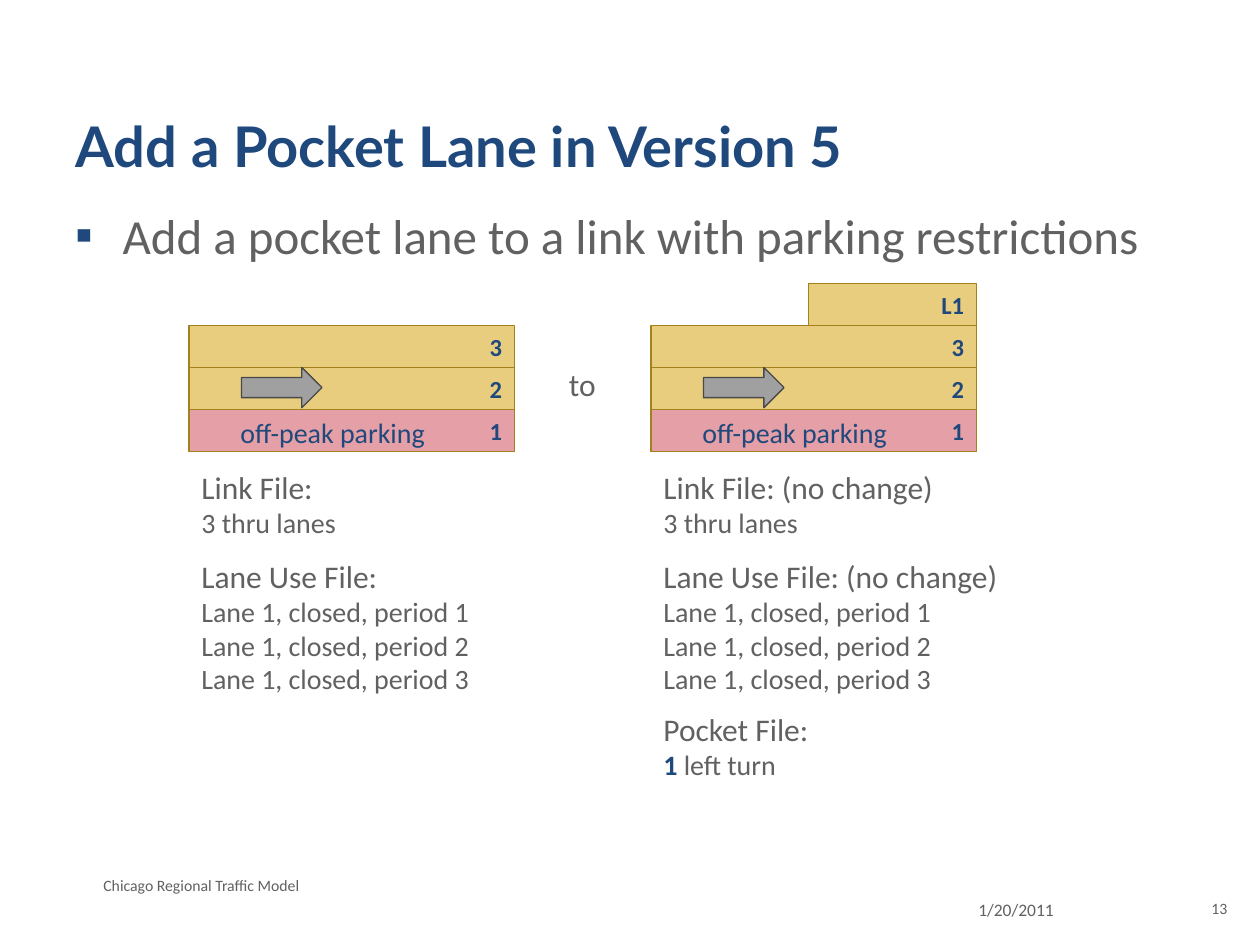
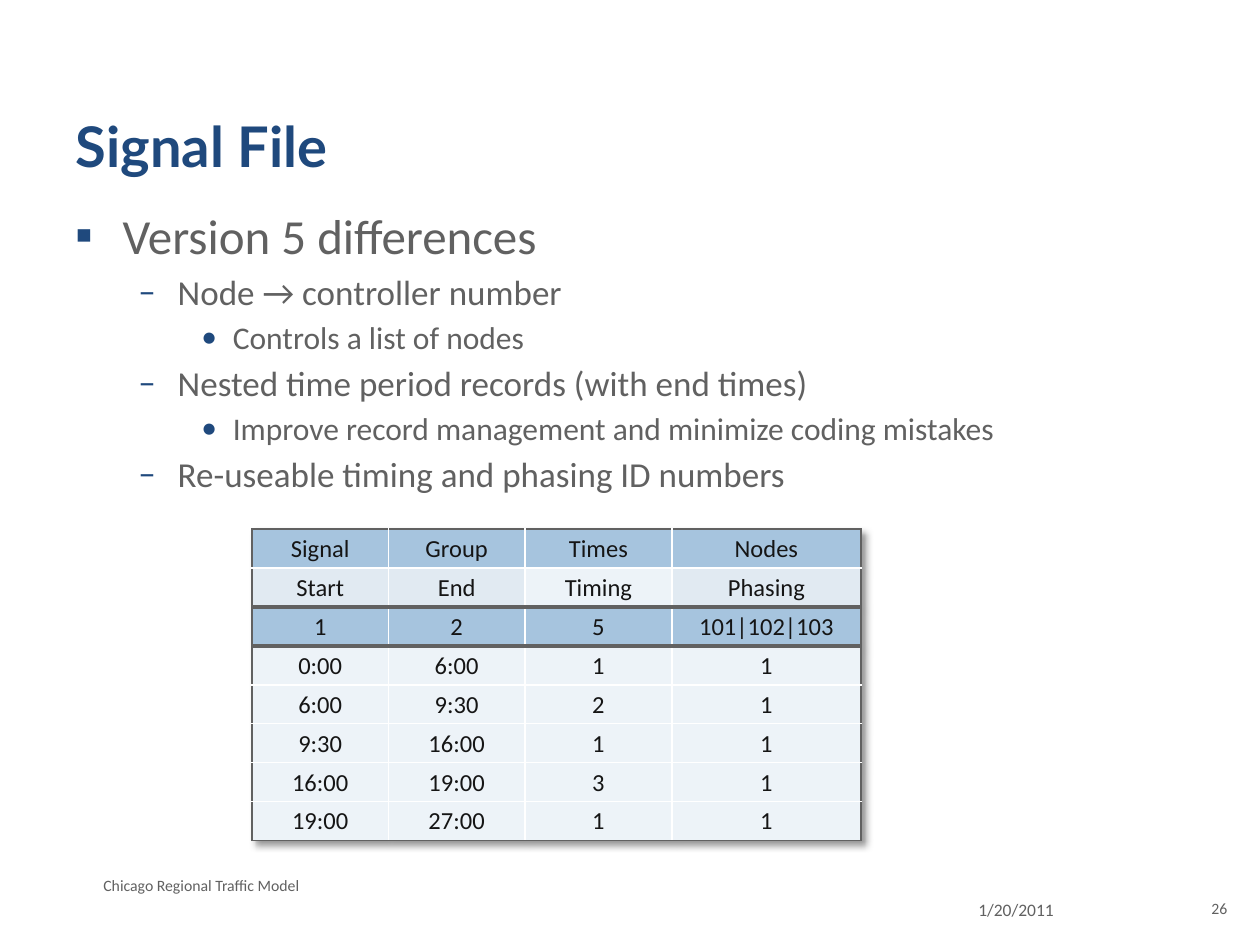
from lxml import etree
from pptx import Presentation
from pptx.dml.color import RGBColor
from pptx.enum.shapes import MSO_SHAPE
from pptx.enum.text import MSO_ANCHOR, MSO_AUTO_SIZE, PP_ALIGN
from pptx.oxml.ns import qn
from pptx.util import Pt

RECT, ARROW = MSO_SHAPE.RECTANGLE, MSO_SHAPE.RIGHT_ARROW
LEFT, MID, RIGHT = PP_ALIGN.LEFT, PP_ALIGN.CENTER, PP_ALIGN.RIGHT
TOP, CENTER, BOTTOM = MSO_ANCHOR.TOP, MSO_ANCHOR.MIDDLE, MSO_ANCHOR.BOTTOM
FIT, FIXED = MSO_AUTO_SIZE.SHAPE_TO_FIT_TEXT, MSO_AUTO_SIZE.NONE

NAVY = RGBColor(0x1F, 0x49, 0x7D)
GREY = RGBColor(0x61, 0x61, 0x61)
INK = RGBColor(0x15, 0x15, 0x15)
WHITE = RGBColor(0xFF, 0xFF, 0xFF)
GOLD = RGBColor(0xE8, 0xCD, 0x7E)
PINK = RGBColor(0xE5, 0x9F, 0xA6)
OCHRE = RGBColor(0xA3, 0x81, 0x1D)
SILVER = RGBColor(0xA0, 0xA0, 0xA0)
SLATE = RGBColor(0x49, 0x49, 0x49)
BLUE = RGBColor(0xA6, 0xC4, 0xDE)
PALE = RGBColor(0xE1, 0xEA, 0xF2)
ICE = RGBColor(0xED, 0xF3, 0xF8)
FONT, HEAD = "Calibri", "Lato"

FOOTER, DATE = "Chicago Regional Traffic Model", "1/20/2011"

# Bullet, text size, left margin and hanging indent for each level
LEVELS = [("▪", 28, 27, 27), ("–", 20, 58.5, 22.5), ("•", 18, 90, 18)]

POCKET = [(0, "Add a pocket lane to a link with parking restrictions")]
SIGNAL = [
    (0, "Version 5 differences"),
    (1, "Node → controller number"),
    (2, "Controls a list of nodes"),
    (1, "Nested time period records (with end times)"),
    (2, "Improve record management and minimize coding mistakes"),
    (1, "Re-useable timing and phasing ID numbers"),
]

# Lanes from the top down
LANES = [("3", GOLD), ("2", GOLD), ("1", PINK)]
LANE_TOP, LANE_W, LANE_H = 186, 186, 24
TURN_W = 96
PERIODS = [f"Lane 1, closed, period {n}" for n in (1, 2, 3)]

# Left edge, turn lane, and notes as (top, width, heading, lines)
ROADS = [
    (108, None, [
        (264, 92, "Link File:", ["3 thru lanes"]),
        (314.6, 169, "Lane Use File:", PERIODS),
    ]),
    (372, "L1", [
        (264, 171, "Link File: (no change)", ["3 thru lanes"]),
        (314.6, 208, "Lane Use File: (no change)", PERIODS),
        (402, 99, "Pocket File:", [("1", " left turn")]),
    ]),
]

COLS = [78, 78, 84, 108]
ROW_H = 22.25
ROWS = [
    ("Signal", "Group", "Times", "Nodes"),
    ("Start", "End", "Timing", "Phasing"),
    ("1", "2", "5", "101|102|103"),
    ("0:00", "6:00", "1", "1"),
    ("6:00", "9:30", "2", "1"),
    ("9:30", "16:00", "1", "1"),
    ("16:00", "19:00", "3", "1"),
    ("19:00", "27:00", "1", "1"),
]
FILLS = [[BLUE] * 4, [PALE, PALE, ICE, PALE], [BLUE] * 4] + [[ICE] * 4] * 5
EDGE, THIN, THICK = (GREY, 1), (WHITE, 1), (GREY, 2.25)
ACROSS = [EDGE, THIN, THICK, THICK] + [THIN] * 4 + [EDGE]
DOWN = [EDGE] + [THIN] * 3 + [EDGE]


def style(para, size, color=GREY, bold=False, align=LEFT, name=FONT):
    font = para.font
    font.name, font.size, font.bold = name, Pt(size), bold
    font.color.rgb = color
    para.alignment = align


def add_text(shapes, box, lines, wrap=True):
    """Add a text box and return its paragraphs, one for each line."""
    frame = shapes.add_textbox(*map(Pt, box)).text_frame
    frame.word_wrap = wrap
    frame.auto_size = FIXED if wrap else FIT
    frame.text = "\n".join(lines)
    return frame.paragraphs


def add_label(shapes, box, text, size, color=GREY, align=LEFT, wrap=True):
    style(add_text(shapes, box, [text], wrap)[0], size, color, align=align)


def add_block(shapes, kind, box, fill, line):
    shape = shapes.add_shape(kind, *map(Pt, box))
    shape.shadow.inherit = False
    shape.fill.solid()
    shape.fill.fore_color.rgb = fill
    shape.line.color.rgb = line
    shape.line.width = Pt(0.75)
    return shape


def add_lane(shapes, box, text, fill):
    frame = add_block(shapes, RECT, box, fill, OCHRE).text_frame
    frame.vertical_anchor = CENTER
    frame.text = text
    style(frame.paragraphs[0], 14, NAVY, True, RIGHT)


def add_note(shapes, box, head, lines):
    """Add a heading with lines; a pair is a marked number and its words."""
    texts = [line if isinstance(line, str) else "" for line in lines]
    first, *rest = add_text(shapes, box, [head] + texts, wrap=False)
    style(first, 18)
    for para, line in zip(rest, lines):
        style(para, 16)
        if not isinstance(line, str):
            for text in line:
                para.add_run().text = text
            mark = para.runs[0].font
            mark.bold = True
            mark.color.rgb = NAVY


def add_road(slide, left, turn, notes):
    shapes = slide.shapes.add_group_shape().shapes
    for i, (text, fill) in enumerate(LANES):
        add_lane(shapes, (left, LANE_TOP + i * LANE_H, LANE_W, LANE_H), text, fill)
    if turn:
        box = (left + LANE_W - TURN_W, LANE_TOP - LANE_H, TURN_W, LANE_H)
        add_lane(shapes, box, turn, GOLD)
    add_block(shapes, ARROW, (left + 30, LANE_TOP + LANE_H, 46, 23), SILVER, SLATE)
    add_label(shapes, (left + 22.3, LANE_TOP + 2 * LANE_H, 122, 26.7),
              "off-peak parking", 16, NAVY, wrap=False)
    for top, width, head, lines in notes:
        height = 29.2 + 19.5 * len(lines)
        add_note(shapes, (left, top, width, height), head, lines)


def add_bullets(slide, items):
    paras = add_text(slide.shapes, (36, 113.8, 648, 368.6), [t for _, t in items])
    for i, (para, (level, _)) in enumerate(zip(paras, items)):
        mark, size, margin, hang = LEVELS[level]
        style(para, size)
        para.level = level
        para.space_before = Pt(0.17 * size if i else 0)
        props = para._p.get_or_add_pPr()
        props.set("marL", str(Pt(margin)))
        props.set("indent", str(-Pt(hang)))
        color = etree.Element(qn("a:buClr"))
        etree.SubElement(color, qn("a:srgbClr"), val=str(NAVY))
        face = etree.Element(qn("a:buFont"), typeface=FONT)
        char = etree.Element(qn("a:buChar"), char=mark)
        rest = props.find(qn("a:defRPr"))
        for part in (color, face, char):
            if rest is None:
                props.append(part)
            else:
                rest.addprevious(part)


def set_borders(cell, lines):
    """Draw the left, right, top and bottom lines of a cell."""
    props = cell._tc.get_or_add_tcPr()
    for i, (side, (color, width)) in enumerate(zip("LRTB", lines)):
        line = etree.Element(qn(f"a:ln{side}"), w=str(Pt(width)))
        fill = etree.SubElement(line, qn("a:solidFill"))
        etree.SubElement(fill, qn("a:srgbClr"), val=str(color))
        props.insert(i, line)


def add_shadow(table):
    effects = etree.SubElement(table._tbl.tblPr, qn("a:effectLst"))
    table._tbl.tblPr.insert(0, effects)
    shadow = etree.SubElement(effects, qn("a:outerShdw"), blurRad=str(Pt(4)),
                              dist=str(Pt(3)), dir="2700000", algn="tl")
    color = etree.SubElement(shadow, qn("a:srgbClr"), val="000000")
    etree.SubElement(color, qn("a:alpha"), val="40000")


def add_times(slide):
    box = (144, 302.4, sum(COLS), ROW_H * len(ROWS))
    table = slide.shapes.add_table(len(ROWS), len(COLS), *map(Pt, box)).table
    table.first_row = table.horz_banding = False
    add_shadow(table)
    for col, width in zip(table.columns, COLS):
        col.width = Pt(width)
    for r, texts in enumerate(ROWS):
        table.rows[r].height = Pt(ROW_H)
        for c, text in enumerate(texts):
            cell = table.cell(r, c)
            cell.text = text
            cell.vertical_anchor = CENTER
            cell.margin_left = cell.margin_right = cell.margin_top = Pt(0.7)
            cell.margin_bottom = 0
            cell.fill.solid()
            cell.fill.fore_color.rgb = FILLS[r][c]
            style(cell.text_frame.paragraphs[0], 14, INK, align=MID)
            set_borders(cell, (DOWN[c], DOWN[c + 1], ACROSS[r], ACROSS[r + 1]))


def add_slide(deck, title, number, items):
    slide = deck.slides.add_slide(deck.slide_layouts[5])
    head = slide.shapes.title
    head.left, head.top, head.width, head.height = map(Pt, (36, 21.6, 648, 90))
    frame = head.text_frame
    frame.text = title
    frame.vertical_anchor = BOTTOM
    frame.margin_bottom = Pt(9.6)
    frame.auto_size = FIXED
    style(frame.paragraphs[0], 32, NAVY, True, name=HEAD)
    add_bullets(slide, items)
    add_label(slide.shapes, (552, 510, 108, 24), DATE, 10)
    add_label(slide.shapes, (52, 497, 468, 18), FOOTER, 9)
    add_label(slide.shapes, (678, 510, 30.5, 23), str(number), 9, align=RIGHT)
    return slide


def main():
    deck = Presentation()
    deck.slide_width, deck.slide_height = Pt(720), Pt(540)
    slide = add_slide(deck, "Add a Pocket Lane in Version 5", 13, POCKET)
    add_label(slide.shapes, (318, 205, 30, 29), "to", 18, wrap=False)
    for road in ROADS:
        add_road(slide, *road)
    add_times(add_slide(deck, "Signal File", 26, SIGNAL))
    deck.save("out.pptx")


if __name__ == "__main__":
    main()
